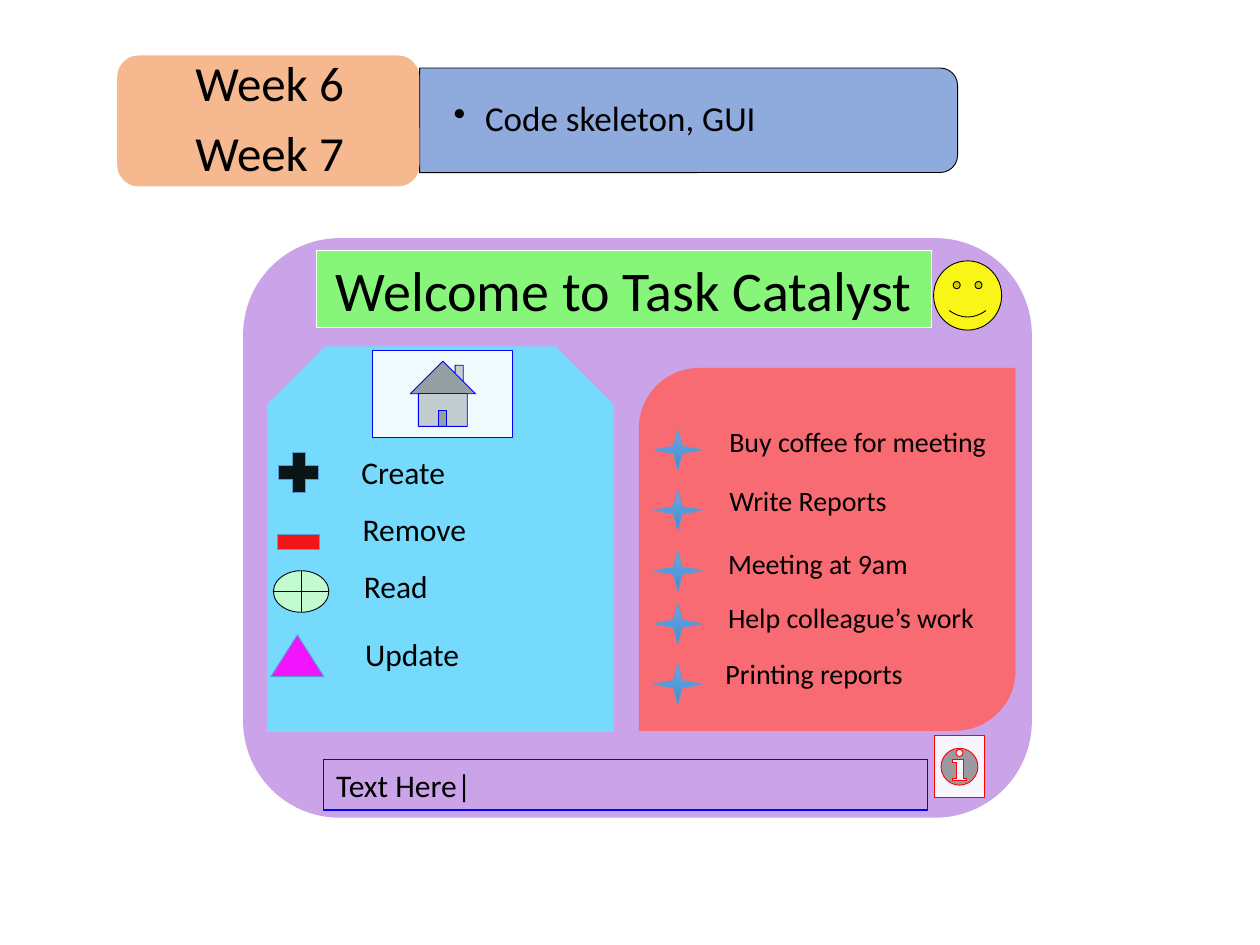
"""Build the Week 6 and 7 slide with the task application mock-up."""
import copy

import lxml.etree
import pptx
import pptx.chart.data
import pptx.dml.color
import pptx.enum.shapes
import pptx.enum.text
import pptx.oxml
import pptx.oxml.ns
import pptx.util

Inches = pptx.util.Inches
Pt = pptx.util.Pt
SHAPE = pptx.enum.shapes.MSO_SHAPE
ALIGN = pptx.enum.text.PP_ALIGN
ANCHOR = pptx.enum.text.MSO_ANCHOR
qn = pptx.oxml.ns.qn


class Theme:
    font = "Calibri"
    title, week, topic, menu, task = 32, 28, 20, 18, 16
    black, white, red, blue, edge = "000000", "FFFFFF", "FF0000", "0000FF", "5B9BD5"
    topic_bar, week_tab, window = "8FAADC", "F4B183", "C599E6"
    banner, face, menu_panel, task_panel = "7FFF6E", "FFFF00", "6CE1FF", "FF6666"
    read_icon, update_icon = "CCFFCC", "FF00FF"
    star = ("71A6DB", "559BDB", "448ACA")
    alpha = 90


WEEKS = ["Week 6", "Week 7"]
TOPICS = ["Code skeleton, GUI"]
MENU = [
    ("Create", 3.55, SHAPE.MATH_PLUS, (2.15, 3.53, 0.44, 0.44), Theme.black, Theme.edge),
    ("Remove", 4.0, SHAPE.MATH_MINUS, (2.14, 4.04, 0.46, 0.52), Theme.red, Theme.edge),
    ("Read", 4.45, SHAPE.FLOWCHART_OR, (2.17, 4.53, 0.44, 0.33), Theme.read_icon, Theme.black),
    ("Update", 4.99, SHAPE.FLOWCHART_EXTRACT, (2.15, 5.04, 0.42, 0.33), Theme.update_icon, Theme.edge),
]
TASKS = [
    ("Buy coffee for meeting", 5.69, 3.32, 3.41),
    ("Write Reports", 5.69, 3.79, 3.89),
    ("Meeting at 9am", 5.68, 4.29, 4.37),
    ("Help colleague’s work", 5.68, 4.72, 4.79),
    ("Printing reports", 5.66, 5.16, 5.27),
]


def rgb(value):
    return pptx.dml.color.RGBColor.from_string(value)


def add_shape(s, kind, box, fill=None, line=None, width=0.5, alpha=Theme.alpha):
    sp = s.shapes.add_shape(kind, *map(Inches, box))
    sp.shadow.inherit = False
    if fill:
        sp.fill.solid()
        sp.fill.fore_color.rgb = rgb(fill)
        color = sp.fill._xPr.find(".//" + qn("a:srgbClr"))
        lxml.etree.SubElement(color, qn("a:alpha"), val=str(alpha * 1000))
    else:
        sp.fill.background()
    if line:
        sp.line.color.rgb = rgb(line)
        sp.line.width = Pt(width)
    else:
        sp.line.fill.background()
    return sp


def add_star(s, box):
    sp = add_shape(s, SHAPE.STAR_4_POINT, box, line=Theme.edge)
    sp.fill.gradient()
    sp.fill.gradient_angle = 270
    first = sp.fill._xPr.find(".//" + qn("a:gs"))
    first.addnext(copy.deepcopy(first))
    for i, (stop, color) in enumerate(zip(sp.fill.gradient_stops, Theme.star)):
        stop.color.rgb = rgb(color)
        stop.position = i / 2


def write(sp, lines, size, align=ALIGN.LEFT, anchor=ANCHOR.TOP, inset=(0.1, 0.05),
          spacing=None, after=0, bullet=False):
    tf = sp.text_frame
    tf.word_wrap = True
    tf.vertical_anchor = anchor
    tf.margin_left = tf.margin_right = Inches(inset[0])
    tf.margin_top = tf.margin_bottom = Inches(inset[1])
    tf.text = "\n".join(lines)
    for p in tf.paragraphs:
        p.alignment = align
        p.line_spacing = spacing
        p.space_after = Pt(after)
        if bullet:
            props = p._p.get_or_add_pPr()
            props.set("marL", str(Inches(0.25)))
            props.set("indent", str(-Inches(0.25)))
            lxml.etree.SubElement(props, qn("a:buChar"), char="•")
        for r in p.runs:
            r.font.name = Theme.font
            r.font.size = Pt(size)
            r.font.color.rgb = rgb(Theme.black)


def add_text(s, box, lines, size, **layout):
    write(s.shapes.add_textbox(*map(Inches, box)), lines, size, **layout)


def add_header(s):
    bar = add_shape(s, SHAPE.ROUND_2_SAME_RECTANGLE, (5.05, -1.18, 0.83, 4.27),
                    Theme.topic_bar, Theme.black, alpha=100)
    bar.rotation = 90
    add_text(s, (3.33, 0.58, 4.23, 0.75), TOPICS, Theme.topic, anchor=ANCHOR.MIDDLE,
             inset=(0.27, 0.14), spacing=0.9, after=3, bullet=True)
    add_shape(s, SHAPE.ROUNDED_RECTANGLE, (0.93, 0.44, 2.4, 1.04), Theme.week_tab)
    add_text(s, (0.99, 0.49, 2.3, 0.94), WEEKS, Theme.week, align=ALIGN.CENTER,
             anchor=ANCHOR.MIDDLE, inset=(0.12, 0.06), spacing=0.9, after=9.8)


def add_window(s):
    add_shape(s, SHAPE.ROUNDED_RECTANGLE, (1.93, 1.89, 6.26, 4.6), Theme.window)
    banner = add_shape(s, SHAPE.RECTANGLE, (2.51, 1.99, 4.88, 0.61), Theme.banner, Theme.white)
    write(banner, ["Welcome to Task Catalyst"], Theme.title,
          align=ALIGN.CENTER, anchor=ANCHOR.MIDDLE)
    add_shape(s, SHAPE.SMILEY_FACE, (7.41, 2.07, 0.54, 0.55), Theme.face, Theme.black)
    entry = add_shape(s, SHAPE.RECTANGLE, (2.57, 6.03, 4.79, 0.4), line=Theme.blue, width=0.75)
    write(entry, ["Text Here|"], Theme.menu)
    add_shape(s, SHAPE.ACTION_BUTTON_INFORMATION, (7.42, 5.84, 0.39, 0.49), Theme.white, Theme.red)


def add_menu(s):
    add_shape(s, SHAPE.SNIP_2_SAME_RECTANGLE, (2.12, 2.75, 2.75, 3.06), Theme.menu_panel)
    for i, (label, top, kind, box, fill, line) in enumerate(MENU):
        add_shape(s, kind, box, fill, line)
        add_text(s, (2.77 + 0.01 * i, top, 1.57, 0.4), [label], Theme.menu)
    add_shape(s, SHAPE.ACTION_BUTTON_HOME, (2.96, 2.78, 1.11, 0.69), Theme.white, Theme.blue)


def add_tasks(s):
    add_shape(s, SHAPE.ROUND_2_DIAG_RECTANGLE, (5.07, 2.92, 2.99, 2.88), Theme.task_panel)
    for label, left, top, star_top in TASKS:
        add_star(s, (5.19, star_top, 0.38, 0.32))
        add_text(s, (left, top, 2.3, 0.37), [label], Theme.task)


def main():
    prs = pptx.Presentation()
    prs.slide_width, prs.slide_height = Inches(10), Inches(7.5)
    s = prs.slides.add_slide(prs.slide_layouts[6])
    add_header(s)
    add_window(s)
    add_menu(s)
    add_tasks(s)
    prs.save("out.pptx")


if __name__ == "__main__":
    main()
